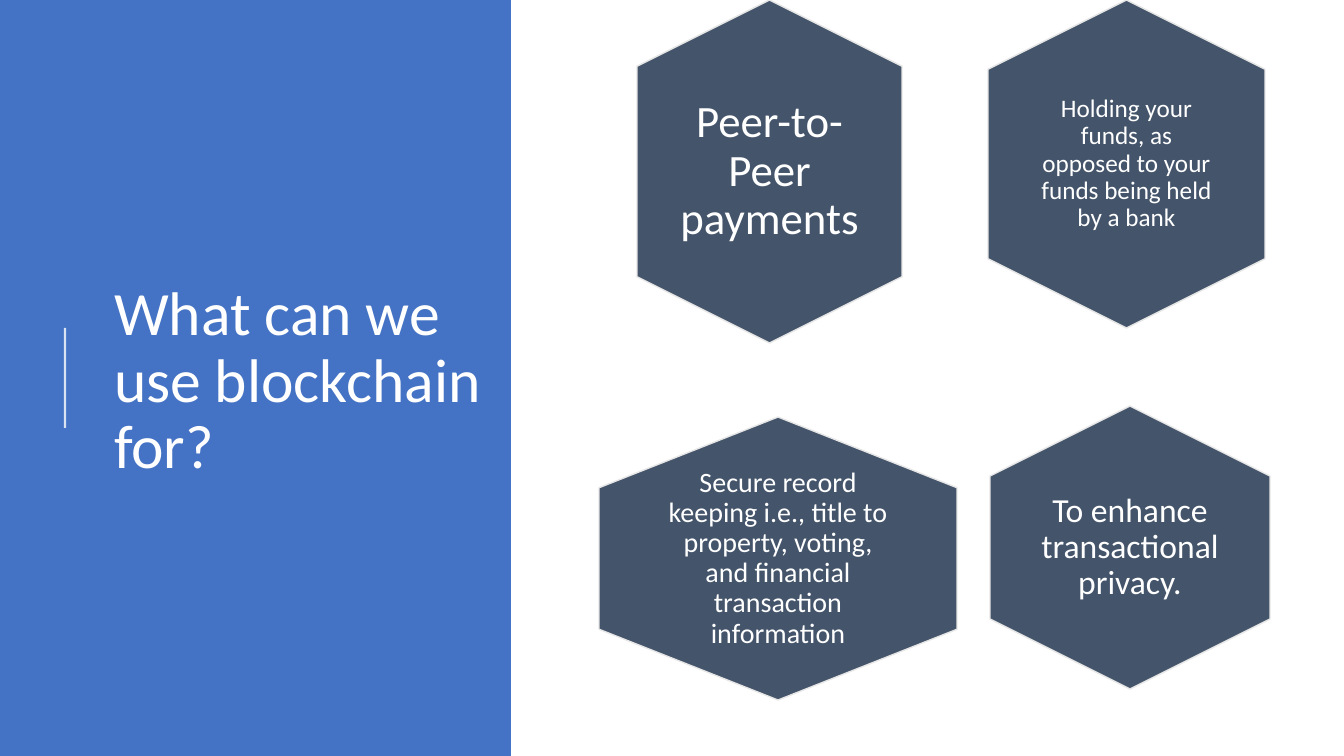
from pptx import Presentation
from pptx.dml.color import RGBColor
from pptx.enum.shapes import MSO_CONNECTOR as Connector, MSO_SHAPE as Shape
from pptx.enum.text import MSO_ANCHOR as Anchor, MSO_AUTO_SIZE as AutoSize, PP_ALIGN as Align
from pptx.oxml.ns import qn
from pptx.util import Pt
from lxml.etree import SubElement

SLIDE_SIZE = (1344, 756)
EMU_PER_PX = 12192000 / 1344
COLORS = {"panel": "4472C4", "hexagon": "44546A", "outline": "E7E6E6", "white": "FFFFFF"}
FONT = "Calibri"

USES = [
    {"text": "Holding your funds, as opposed to your funds being held by a bank",
     "box": (988, 0, 277, 328), "text_size": (192, 227), "inset": 7, "size": 18},
    {"text": "Peer-to-Peer payments",
     "box": (637, 0, 265, 343), "text_size": (186, 242), "inset": 0, "size": 32},
    {"text": "Secure record keeping i.e., title to property, voting, and financial transaction information",
     "box": (599, 417, 358, 283), "text_size": (238, 188), "inset": 8, "size": 20},
    {"text": "To enhance transactional privacy.",
     "box": (990, 406, 280, 283), "text_size": (187, 190), "inset": 0, "size": 24},
]


def px(length):
    return round(length * EMU_PER_PX)


def color(name):
    return RGBColor.from_string(COLORS[name])


def centered(box, width, height):
    left, top, box_width, box_height = box
    return left + (box_width - width) / 2, top + (box_height - height) / 2, width, height


def write(shape, text, size, align, inset_x, inset_y):
    frame = shape.text_frame
    frame.word_wrap = True
    frame.auto_size = AutoSize.NONE
    frame.vertical_anchor = Anchor.MIDDLE
    frame.margin_left = frame.margin_right = px(inset_x)
    frame.margin_top = frame.margin_bottom = px(inset_y)
    paragraph = frame.paragraphs[0]
    paragraph.alignment = align
    paragraph.line_spacing = 0.9
    run = paragraph.add_run()
    run.text = text
    run.font.name = FONT
    run.font.size = Pt(size)
    run.font.color.rgb = color("white")


def add_filled(slide, kind, box, fill):
    shape = slide.shapes.add_shape(kind, *map(px, box))
    shape.shadow.inherit = False
    shape.fill.solid()
    shape.fill.fore_color.rgb = color(fill)
    return shape


def add_title_panel(slide, box, text):
    left, top, width, height = box
    panel = add_filled(slide, Shape.RECTANGLE, box, "panel")
    panel.line.fill.background()
    slide.shapes._spTree.insert(2, panel._element)

    title = slide.shapes.title
    title.left, title.top = px(left + 104), px(top + 79)
    title.width, title.height = px(width - 104), px(height - 149)
    write(title, text, 44, Align.LEFT, 10, 5)

    rule_x = px(left + 65)
    rule = slide.shapes.add_connector(
        Connector.STRAIGHT, rule_x, px(top + 428), rule_x, px(top + 328))
    rule.line.width = Pt(1.5)
    rule.line.color.rgb = color("white")
    white = rule.line._ln.find(".//" + qn("a:srgbClr"))
    SubElement(white, qn("a:alpha"), val="80000")
    SubElement(rule._element.spPr, qn("a:effectLst"))


def add_use(slide, box, text, text_size, inset, size):
    width, height = box[2:]
    hexagon = add_filled(slide, Shape.HEXAGON, centered(box, height, width), "hexagon")
    hexagon.rotation = 90
    hexagon.adjustments[0] = 0.25
    hexagon.line.color.rgb = color("outline")
    hexagon.line.width = Pt(1)
    label = slide.shapes.add_textbox(*map(px, centered(box, *text_size)))
    write(label, text, size, Align.CENTER, inset, inset)


def main():
    presentation = Presentation()
    presentation.slide_width, presentation.slide_height = map(px, SLIDE_SIZE)
    slide = presentation.slides.add_slide(presentation.slide_layouts.get_by_name("Title Only"))
    add_title_panel(slide, (0, 0, 511, 756), "What can we use blockchain for?")
    for use in USES:
        add_use(slide, **use)
    presentation.save("out.pptx")


if __name__ == "__main__":
    main()
